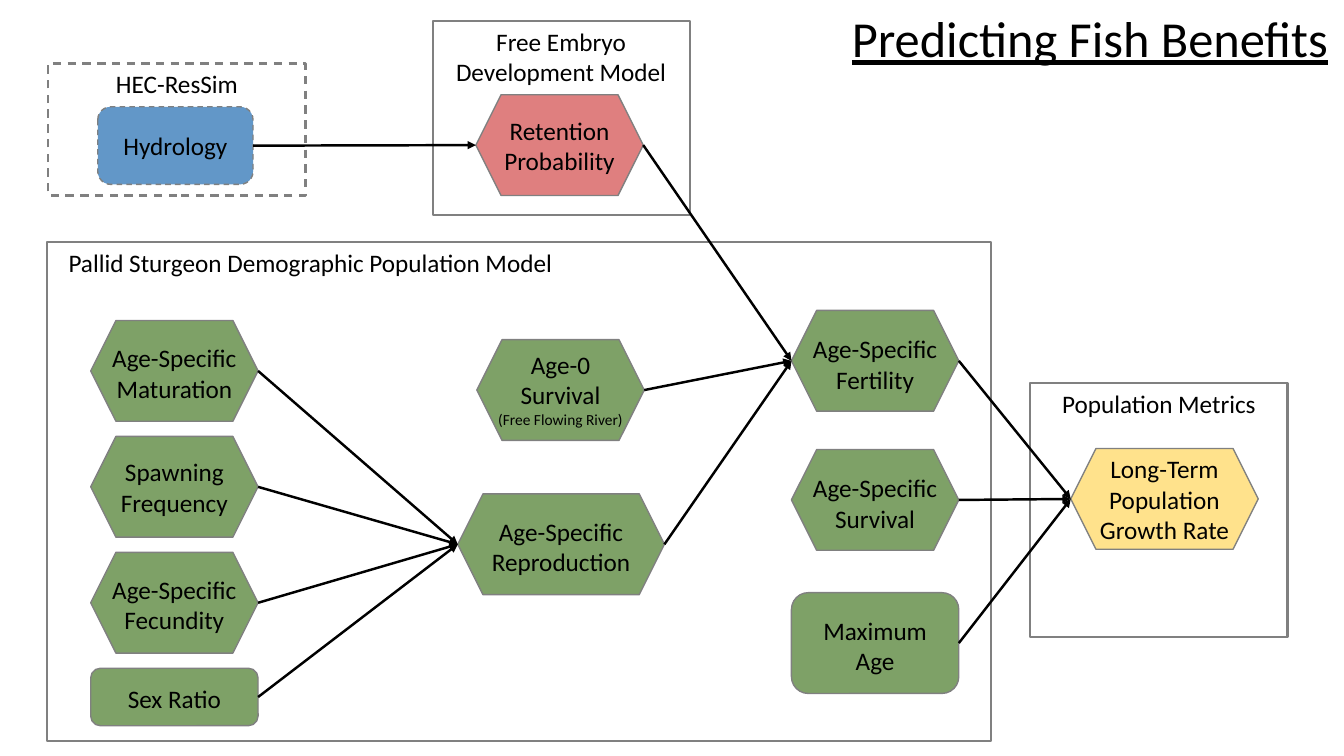
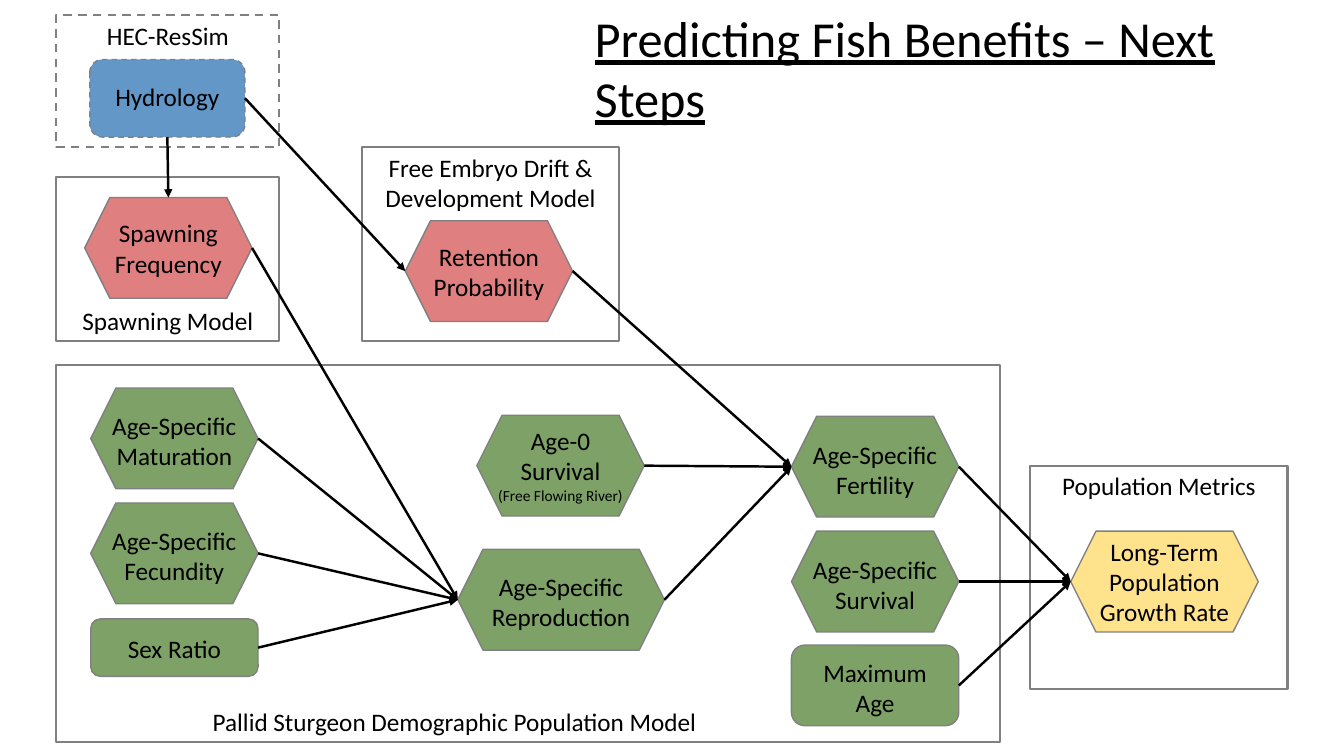
from lxml.etree import SubElement
from pptx import Presentation
from pptx.dml.color import RGBColor
from pptx.enum.dml import MSO_LINE
from pptx.enum.shapes import MSO_CONNECTOR, MSO_SHAPE
from pptx.enum.text import MSO_ANCHOR, PP_ALIGN
from pptx.oxml.ns import qn
from pptx.util import Pt

EMU_PER_PX = 9144
FONT = "Calibri"
BLACK = RGBColor(0x00, 0x00, 0x00)
GRAY = RGBColor(0x80, 0x80, 0x80)
BLUE = RGBColor(0x2E, 0x75, 0xB6)
RED = RGBColor(0xC0, 0x00, 0x00)
GREEN = RGBColor(0x54, 0x82, 0x35)
YELLOW = RGBColor(0xFF, 0xD9, 0x66)
OPACITY = {BLUE: 75, RED: 50, GREEN: 75, YELLOW: 75}

HEXAGON = MSO_SHAPE.HEXAGON
ROUNDED = MSO_SHAPE.ROUNDED_RECTANGLE
SITES = {
    HEXAGON: {"right": 0, "left": 3},
    ROUNDED: {"left": 1, "bottom": 2, "right": 3},
}
SIDES = {"left": (0, 1), "right": (2, 1), "top": (1, 0), "bottom": (1, 2)}

NODE_WIDTH = 166
NODE_HEIGHT = 100
INPUT_LEFT = 90
OUTPUT_LEFT = 785
POPULATION_TITLE = "Pallid Sturgeon Demographic Population Model"


def px(length):
    return length * EMU_PER_PX


def side_point(shape, side):
    across, down = SIDES[side]
    return shape.left + shape.width * across // 2, shape.top + shape.height * down // 2


class Diagram:
    def __init__(self):
        self.presentation = Presentation()
        self.presentation.slide_width = px(1333)
        self.presentation.slide_height = px(750)
        self.slide = None

    def start_slide(self, title, left, width):
        self.slide = self.presentation.slides.add_slide(self.presentation.slide_layouts[6])
        box = self.slide.shapes.add_textbox(px(left), px(2), px(width), px(71))
        box.text_frame.word_wrap = True
        self.set_text(box, title, 36, PP_ALIGN.LEFT, underline=True)

    def set_text(self, shape, text, size=18, align=PP_ALIGN.CENTER, underline=None):
        shape.text_frame.text = text
        for paragraph in shape.text_frame.paragraphs:
            paragraph.alignment = align
            for run in paragraph.runs:
                run.font.name = FONT
                run.font.size = Pt(size)
                run.font.color.rgb = BLACK
                run.font.underline = underline

    def outlined(self, kind, left, top, width, height, weight, dashed):
        shape = self.slide.shapes.add_shape(kind, px(left), px(top), px(width), px(height))
        shape.shadow.inherit = False
        shape.line.color.rgb = GRAY
        shape.line.width = Pt(weight)
        if dashed:
            shape.line.dash_style = MSO_LINE.DASH
        return shape

    def panel(self, text, left, top, width, height, dashed=False,
              anchor=MSO_ANCHOR.TOP, indent=None):
        shape = self.outlined(MSO_SHAPE.RECTANGLE, left, top, width, height, 1.5, dashed)
        shape.fill.background()
        frame = shape.text_frame
        frame.word_wrap = True
        frame.vertical_anchor = anchor
        if indent is None:
            self.set_text(shape, text)
        else:
            frame.margin_left = px(indent)
            self.set_text(shape, text, align=PP_ALIGN.LEFT)

    def node(self, text, left, top, width=NODE_WIDTH, height=NODE_HEIGHT,
             kind=HEXAGON, color=GREEN, dashed=False, drop=0):
        shape = self.outlined(kind, left, top, width, height, 1, dashed)
        shape.fill.solid()
        shape.fill.fore_color.rgb = color
        color_element = shape.element.spPr.find(qn("a:solidFill"))[0]
        SubElement(color_element, qn("a:alpha"), val=str(OPACITY[color] * 1000))
        frame = shape.text_frame
        frame.word_wrap = False
        frame.vertical_anchor = MSO_ANCHOR.MIDDLE
        frame.margin_left = frame.margin_right = 0
        frame.margin_top = px(max(2 * drop, 0))
        frame.margin_bottom = px(max(-2 * drop, 0))
        self.set_text(shape, text)
        return shape

    def arrow(self, source, target, source_side="right", target_side="left"):
        connector = self.slide.shapes.add_connector(MSO_CONNECTOR.STRAIGHT, 0, 0, 0, 0)
        source_site = SITES[source.auto_shape_type].get(source_side)
        target_site = SITES[target.auto_shape_type].get(target_side)
        if source_site is not None:
            connector.begin_connect(source, source_site)
        if target_site is not None:
            connector.end_connect(target, target_site)
        connector.begin_x, connector.begin_y = side_point(source, source_side)
        connector.end_x, connector.end_y = side_point(target, target_side)
        connector.line.color.rgb = BLACK
        connector.line.width = Pt(1.75)
        properties = connector.element.spPr
        SubElement(properties.find(qn("a:ln")), qn("a:tailEnd"), type="triangle")
        SubElement(properties, qn("a:effectLst"))

    def hydrology(self, left, top, drop=0):
        return self.node("Hydrology", left, top, 154, 77, ROUNDED, BLUE, True, drop)

    def retention(self, title, left, top):
        self.panel(title, left, top, 255, 192)
        return self.node("Retention\vProbability", left + 43, top + 73, color=RED)

    def spawning(self, left, top, color):
        return self.node("Spawning\vFrequency", left, top, color=color)

    def metrics(self, top, height):
        self.panel("Population Metrics", 1022, top, 255, height)
        return self.node("Long-Term\vPopulation\vGrowth Rate", 1062, top + 65, 186, color=YELLOW)

    def population(self, tops, maximum_age_height, growth_rate):
        maturation = self.node("Age-Specific\nMaturation", INPUT_LEFT, tops["maturation"], drop=2)
        fecundity = self.node("Age-Specific\nFecundity", INPUT_LEFT, tops["fecundity"], drop=2)
        sex_ratio = self.node("Sex Ratio", INPUT_LEFT, tops["sex_ratio"], height=57,
                              kind=ROUNDED, drop=1)
        reproduction = self.node("Age-Specific\nReproduction", 454, tops["reproduction"], 205, drop=2)
        age_zero = self.node("Age-0\nSurvival\n(Free Flowing River)", 473, tops["age_zero"], drop=-1)
        age_zero.text_frame.paragraphs[-1].runs[0].font.size = Pt(11)
        fertility = self.node("Age-Specific\nFertility", OUTPUT_LEFT, tops["fertility"], drop=3)
        survival = self.node("Age-Specific\nSurvival", OUTPUT_LEFT, tops["survival"], drop=3)
        maximum_age = self.node("Maximum\vAge", OUTPUT_LEFT, tops["maximum_age"],
                                height=maximum_age_height, kind=ROUNDED, drop=2)
        for source in (maturation, fecundity, sex_ratio):
            self.arrow(source, reproduction)
        for source in (age_zero, reproduction):
            self.arrow(source, fertility)
        for source in (fertility, survival, maximum_age):
            self.arrow(source, growth_rate)
        return reproduction, fertility


def build_current_model(diagram):
    diagram.start_slide("Predicting Fish Benefits", 835, 499)
    diagram.panel(POPULATION_TITLE, 47, 240, 936, 495, indent=21)
    growth_rate = diagram.metrics(380, 252)
    diagram.panel("HEC-ResSim", 48, 63, 255, 131, dashed=True)
    hydrology = diagram.hydrology(97, 106)
    retention = diagram.retention("Free Embryo Development Model", 429, 21)
    spawning = diagram.spawning(INPUT_LEFT, 433, GREEN)
    tops = dict(maturation=318, fecundity=548, sex_ratio=663, reproduction=490,
                age_zero=337, fertility=308, survival=446, maximum_age=588)
    reproduction, fertility = diagram.population(tops, 100, growth_rate)
    diagram.arrow(hydrology, retention)
    diagram.arrow(spawning, reproduction)
    diagram.arrow(retention, fertility)


def build_next_steps(diagram):
    diagram.start_slide("Predicting Fish Benefits – Next Steps", 580, 740)
    diagram.panel(POPULATION_TITLE, 56, 362, 936, 374, anchor=MSO_ANCHOR.BOTTOM, indent=155)
    growth_rate = diagram.metrics(462, 222)
    diagram.panel("HEC-ResSim", 56, 15, 221, 131, dashed=True)
    hydrology = diagram.hydrology(89, 59, drop=-2)
    retention = diagram.retention("Free Embryo Drift & Development Model", 359, 146)
    diagram.panel("Spawning Model", 56, 176, 221, 162, anchor=MSO_ANCHOR.BOTTOM)
    spawning = diagram.spawning(84, 196, RED)
    tops = dict(maturation=385, fecundity=499, sex_ratio=614, reproduction=545,
                age_zero=412, fertility=413, survival=527, maximum_age=640)
    reproduction, fertility = diagram.population(tops, 80, growth_rate)
    diagram.arrow(hydrology, retention)
    diagram.arrow(hydrology, spawning, "bottom", "top")
    diagram.arrow(spawning, reproduction)
    diagram.arrow(retention, fertility)


def main():
    diagram = Diagram()
    build_current_model(diagram)
    build_next_steps(diagram)
    diagram.presentation.save("out.pptx")


if __name__ == "__main__":
    main()
